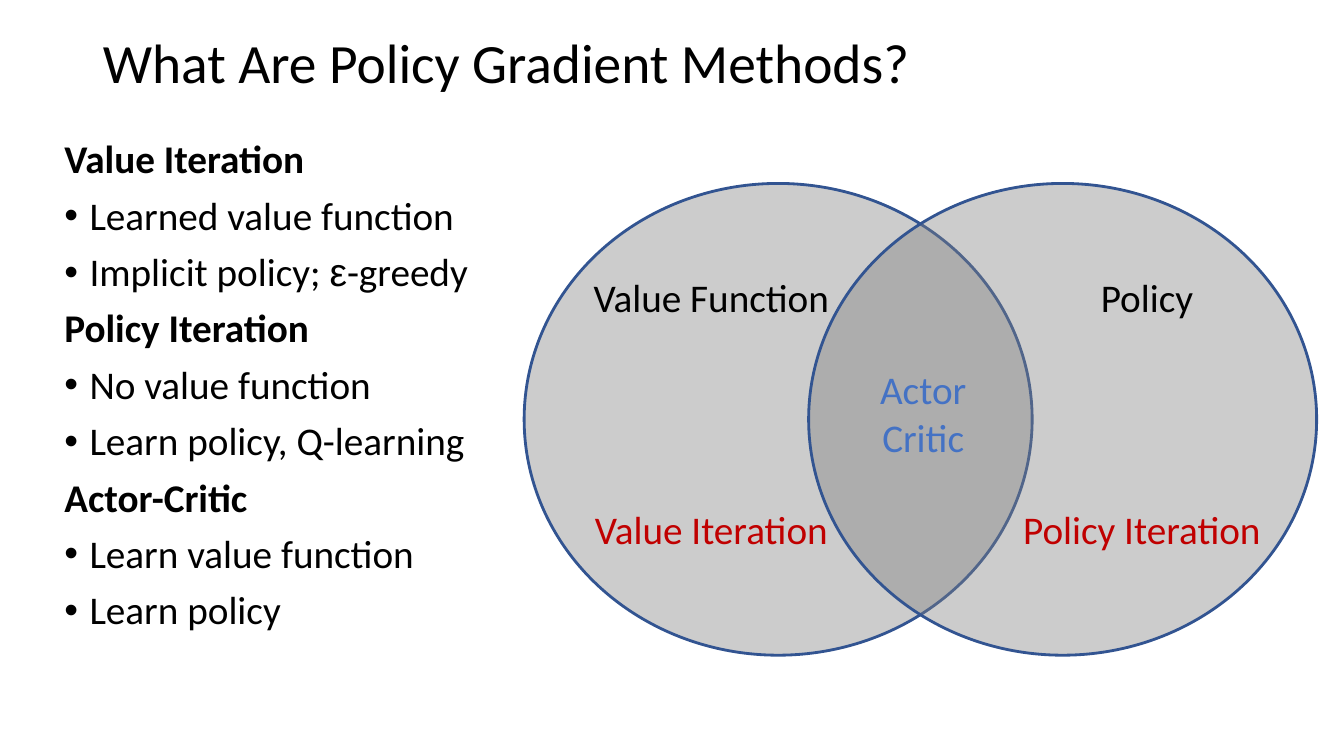
from dataclasses import dataclass

from lxml import etree
from pptx import Presentation
from pptx.dml.color import RGBColor
from pptx.enum.shapes import MSO_SHAPE
from pptx.enum.text import MSO_ANCHOR, PP_ALIGN
from pptx.oxml.ns import qn
from pptx.slide import Slide
from pptx.text.text import TextFrame, _Paragraph
from pptx.util import Emu, Inches, Pt

ELLIPSE = MSO_SHAPE.OVAL
MIDDLE, TOP = MSO_ANCHOR.MIDDLE, MSO_ANCHOR.TOP
LEFT, CENTER = PP_ALIGN.LEFT, PP_ALIGN.CENTER

SLIDE_W, SLIDE_H = Inches(13.33), Inches(7.5)
TITLE_ONLY = 5
FONT, SYMBOL_FONT = "Calibri", "Arial"
TITLE_SIZE, TEXT_SIZE = 39.6, 28
COLORS = {
    "text": "000000",
    "method": "C00000",
    "overlap": "4472C4",
    "circle": "808080",
    "outline": "325491",
}
CIRCLE_OPACITY = 40


@dataclass(frozen=True)
class Area:
    """A rectangle in percent of the slide's width and height."""
    left: float
    top: float
    width: float
    height: float

    def emu(self) -> tuple[Emu, Emu, Emu, Emu]:
        return (Emu(int(SLIDE_W * self.left / 100)), Emu(int(SLIDE_H * self.top / 100)),
                Emu(int(SLIDE_W * self.width / 100)), Emu(int(SLIDE_H * self.height / 100)))


@dataclass(frozen=True)
class Method:
    heading: str
    points: tuple[tuple[str, ...], ...]


@dataclass(frozen=True)
class Label:
    lines: tuple[str, ...]
    area: Area
    color: str


TITLE = "What Are Policy Gradient Methods?"
TITLE_AREA = Area(6.9, 3.87, 86.27, 9.47)
METHODS_AREA = Area(4.05, 17.87, 33.3, 76.8)
METHODS = (
    Method("Value Iteration", (("Learned value function",),
                               ("Implicit policy; ", "ε", "-greedy"))),
    Method("Policy Iteration", (("No value function",), ("Learn policy, Q-learning",))),
    Method("Actor-Critic", (("Learn value function",), ("Learn policy",))),
)

CIRCLES = tuple(Area(left, 24.27, 37.8, 62.4) for left in (39, 60.17))
LABEL_W, LABEL_H = 19.88, 7.6
CONTENT_ROW, METHOD_ROW = 35.47, 66.13
VALUE_COLUMN = 42.98
LABELS = (
    Label(("Value Function",), Area(VALUE_COLUMN, CONTENT_ROW, LABEL_W, LABEL_H), "text"),
    Label(("Value Iteration",), Area(VALUE_COLUMN, METHOD_ROW, LABEL_W, LABEL_H), "method"),
    Label(("Policy Iteration",), Area(75.02, METHOD_ROW, LABEL_W, LABEL_H), "method"),
    Label(("Policy",), Area(75.4, CONTENT_ROW, LABEL_W, LABEL_H), "text"),
    Label(("Actor", "Critic"), Area(63.7, 47.73, 9.98, 13.87), "overlap"),
)


def add_run(paragraph: _Paragraph, text: str, color: str = "text",
            size: float = TEXT_SIZE, bold: bool = False, font: str = FONT) -> None:
    run = paragraph.add_run()
    run.text = text
    run.font.name = font
    run.font.size = Pt(size)
    run.font.bold = bold
    run.font.color.rgb = RGBColor.from_string(COLORS[color])


def next_paragraph(frame: TextFrame) -> _Paragraph:
    """Return the still empty first paragraph, or a new one."""
    first = frame.paragraphs[0]
    return frame.add_paragraph() if first.runs else first


def add_bullet(paragraph: _Paragraph) -> None:
    properties = paragraph._p.get_or_add_pPr()
    properties.set("marL", str(Inches(0.25)))
    properties.set("indent", str(-Inches(0.25)))
    etree.SubElement(properties, qn("a:buFont"), typeface=SYMBOL_FONT)
    etree.SubElement(properties, qn("a:buChar"), char="•")


def add_text_frame(slide: Slide, area: Area) -> TextFrame:
    frame = slide.shapes.add_textbox(*area.emu()).text_frame
    frame.word_wrap = True
    frame.vertical_anchor = TOP
    return frame


def fill_title(slide: Slide) -> None:
    title = slide.shapes.title
    title.left, title.top, title.width, title.height = TITLE_AREA.emu()
    title.text_frame.vertical_anchor = MIDDLE
    paragraph = title.text_frame.paragraphs[0]
    paragraph.alignment = LEFT
    paragraph.line_spacing = 0.9
    add_run(paragraph, TITLE, size=TITLE_SIZE)


def add_methods(slide: Slide) -> None:
    frame = add_text_frame(slide, METHODS_AREA)
    for method in METHODS:
        add_run(next_paragraph(frame), method.heading, bold=True)
        for point in method.points:
            paragraph = next_paragraph(frame)
            for part in point:
                add_run(paragraph, part, font=SYMBOL_FONT if part == "ε" else FONT)
    for paragraph in frame.paragraphs:
        paragraph.line_spacing = 0.9
        paragraph.space_before = Pt(10)
        if not paragraph.runs[0].font.bold:
            add_bullet(paragraph)


def add_circle(slide: Slide, area: Area) -> None:
    circle = slide.shapes.add_shape(ELLIPSE, *area.emu())
    circle.shadow.inherit = False
    circle.fill.solid()
    circle.fill.fore_color.rgb = RGBColor.from_string(COLORS["circle"])
    fill_color = circle.fill._xPr.find(qn("a:solidFill"))[0]
    etree.SubElement(fill_color, qn("a:alpha"), val=str(CIRCLE_OPACITY * 1000))
    circle.line.color.rgb = RGBColor.from_string(COLORS["outline"])
    circle.line.width = Pt(2)


def add_label(slide: Slide, label: Label) -> None:
    frame = add_text_frame(slide, label.area)
    for line in label.lines:
        paragraph = next_paragraph(frame)
        paragraph.alignment = CENTER
        add_run(paragraph, line, label.color)


def main() -> None:
    presentation = Presentation()
    presentation.slide_width, presentation.slide_height = SLIDE_W, SLIDE_H
    slide = presentation.slides.add_slide(presentation.slide_layouts[TITLE_ONLY])
    fill_title(slide)
    add_methods(slide)
    for area in CIRCLES:
        add_circle(slide, area)
    for label in LABELS:
        add_label(slide, label)
    presentation.save("out.pptx")


if __name__ == "__main__":
    main()
